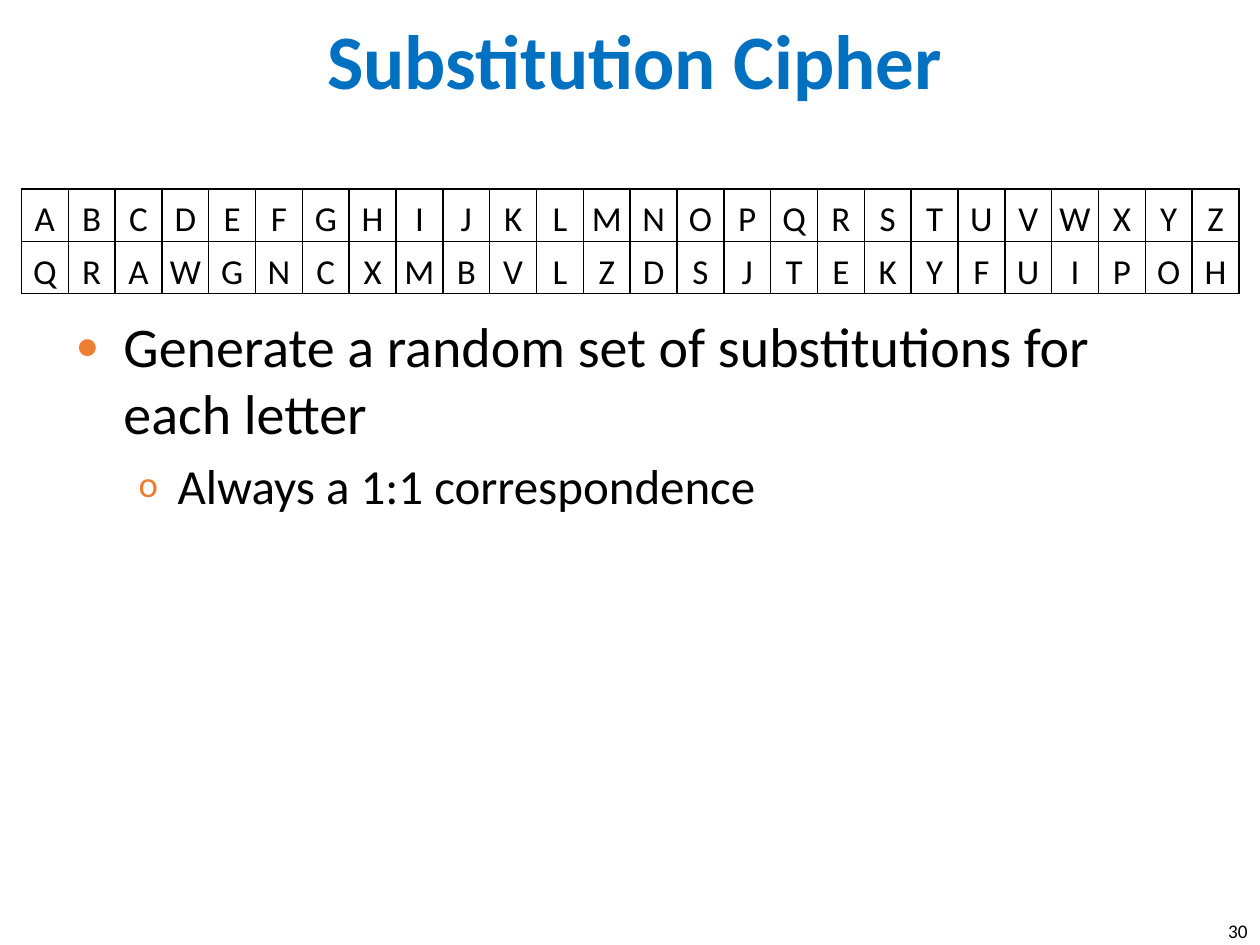
import pptx
import pptx.dml.color
import pptx.enum.text
import pptx.oxml
import pptx.oxml.ns
import pptx.util
from pptx.util import Inches

BLUE = pptx.dml.color.RGBColor(0x00, 0x70, 0xC0)
ORANGE = pptx.dml.color.RGBColor(0xED, 0x7D, 0x31)
BLACK = pptx.dml.color.RGBColor(0x00, 0x00, 0x00)

ALIGN = pptx.enum.text.PP_ALIGN
ANCHOR = pptx.enum.text.MSO_ANCHOR
NO_FIT = pptx.enum.text.MSO_AUTO_SIZE.NONE

PLAIN_LETTERS = "ABCDEFGHIJKLMNOPQRSTUVWXYZ"
CIPHER_LETTERS = "QRAWGNCXMBVLZDSJTEKYFUIPOH"

POINTS = [
    dict(text="Generate a random set of substitutions for each letter",
         level=0, size=32, symbol="•", scale=85, margin=0.38, indent=-0.38, before=0),
    dict(text="Always a 1:1 correspondence",
         level=1, size=28, symbol="o", scale=75, margin=0.81, indent=-0.31, before=5.6),
]


def apply(target, **values):
    for name, value in values.items():
        setattr(target, name, value)


def add_xml(parent, body):
    wrapper = pptx.oxml.parse_xml(f"<a:x {pptx.oxml.ns.nsdecls('a')}>{body}</a:x>")
    parent.extend(list(wrapper))


class SlideBuilder:
    font = "Calibri"

    def __init__(self, slide):
        self.slide = slide

    def place(self, shape, left, top, width, height):
        apply(shape, left=Inches(left), top=Inches(top),
              width=Inches(width), height=Inches(height))

    def add_text(self, paragraph, text, size, color=BLACK, bold=False, **layout):
        apply(paragraph, **layout)
        run = paragraph.add_run()
        run.text = text
        apply(run.font, name=self.font, size=pptx.util.Pt(size), bold=bold)
        run.font.color.rgb = color

    def title(self, text, *box):
        heading = self.slide.shapes.title
        self.place(heading, *box)
        apply(heading.text_frame, vertical_anchor=ANCHOR.MIDDLE, auto_size=NO_FIT)
        self.add_text(heading.text_frame.paragraphs[0], text, 44, BLUE, True,
                      alignment=ALIGN.CENTER)

    def bullets(self, points, *box):
        body = self.slide.placeholders[1]
        self.place(body, *box)
        frame = body.text_frame
        frame.auto_size = NO_FIT
        for index, point in enumerate(points):
            paragraph = frame.add_paragraph() if index else frame.paragraphs[0]
            properties = paragraph._p.get_or_add_pPr()
            properties.set("marL", str(Inches(point["margin"])))
            properties.set("indent", str(Inches(point["indent"])))
            add_xml(properties,
                    f'<a:buClr><a:srgbClr val="{ORANGE}"/></a:buClr>'
                    f'<a:buSzPct val="{point["scale"] * 1000}"/>'
                    f'<a:buFont typeface="{self.font}"/>'
                    f'<a:buChar char="{point["symbol"]}"/>')
            self.add_text(paragraph, point["text"], point["size"], level=point["level"],
                          space_before=pptx.util.Pt(point["before"]))

    def page_number(self, text, *box):
        frame = self.slide.shapes.add_textbox(*map(Inches, box)).text_frame
        frame.word_wrap = True
        self.add_text(frame.paragraphs[0], text, 11, alignment=ALIGN.RIGHT)

    def letter_table(self, rows, left, top, width, height):
        table = self.slide.shapes.add_table(
            len(rows), len(rows[0]), Inches(left), Inches(top),
            Inches(width), Inches(height)).table
        apply(table, first_row=False, horz_banding=False)
        for column in table.columns:
            column.width = Inches(width / len(rows[0]))
        for row, letters in enumerate(rows):
            for column, letter in enumerate(letters):
                self.letter_cell(table.cell(row, column), letter)

    def letter_cell(self, cell, letter):
        apply(cell, vertical_anchor=ANCHOR.BOTTOM, margin_left=Inches(0.01),
              margin_right=Inches(0.01), margin_top=Inches(0.01), margin_bottom=0)
        for side in "LRTB":
            add_xml(cell._tc.get_or_add_tcPr(),
                    f'<a:ln{side} w="{pptx.util.Pt(1)}"><a:solidFill>'
                    f'<a:srgbClr val="{BLACK}"/></a:solidFill></a:ln{side}>')
        cell.fill.background()
        self.add_text(cell.text_frame.paragraphs[0], letter, 20, alignment=ALIGN.CENTER)


def main():
    deck = pptx.Presentation()
    apply(deck, slide_width=Inches(10), slide_height=Inches(7.5))
    builder = SlideBuilder(deck.slides.add_slide(deck.slide_layouts[1]))
    builder.title("Substitution Cipher", 0.25, 0.02, 9.58, 0.89)
    builder.bullets(POINTS, 0.5, 2.42, 9, 4.28)
    builder.page_number("30", 9.58, 7.25, 0.42, 0.24)
    builder.letter_table([PLAIN_LETTERS, CIPHER_LETTERS], 0.17, 1.5, 9.67, 0.83)
    deck.save("out.pptx")


if __name__ == "__main__":
    main()
